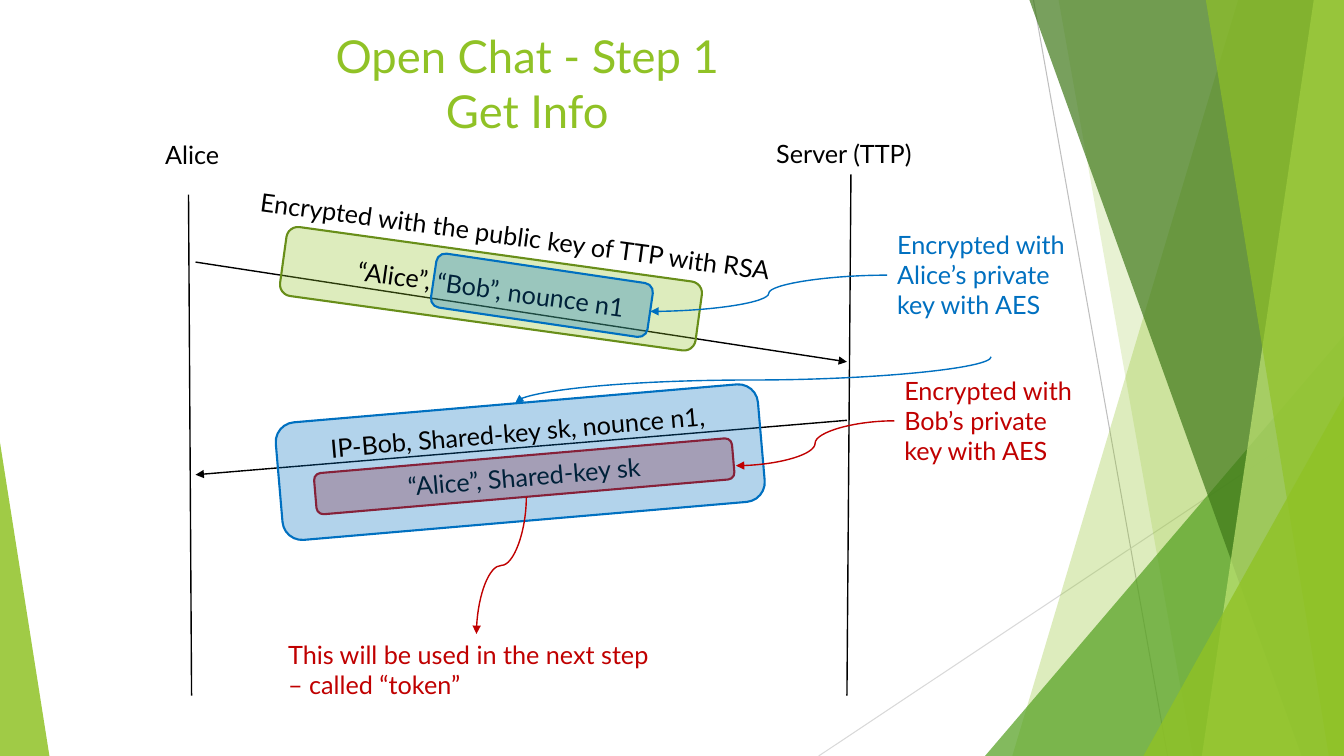
from dataclasses import dataclass

import pptx
import pptx.dml.color
import pptx.enum.shapes
import pptx.enum.text
import pptx.oxml.ns
import pptx.oxml.xmlchemy
import pptx.util
from lxml import etree

Inches = pptx.util.Inches
Pt = pptx.util.Pt
qn = pptx.oxml.ns.qn
ALIGN = pptx.enum.text.PP_ALIGN
ANCHOR = pptx.enum.text.MSO_ANCHOR
SHAPE = pptx.enum.shapes.MSO_SHAPE
CONNECTOR = pptx.enum.shapes.MSO_CONNECTOR

WIDTH, HEIGHT = 13.33, 7.5
FONT = "Lato"
COLORS = {
    "black": "000000", "green": "90C226", "olive": "688E19", "leaf": "54A021",
    "forest": "3F7819", "lime": "C0E474", "blue": "0070C0", "red": "C00000",
    "grey": "BFBFBF", "light grey": "D9D9D9",
}
TOP, LEFT, BOTTOM = 0, 1, 2  # connection sites


@dataclass
class Band:
    """A band from the right slide edge to a slanted left edge."""
    top_x: float
    bottom_x: float
    color: str
    opacity: int


@dataclass
class Corner:
    """A right triangle standing on the bottom slide edge."""
    left: float
    top: float
    width: float
    apex: float
    color: str
    opacity: int


@dataclass
class Label:
    text: str
    box: tuple[float, float, float, float]
    color: str = "black"
    rotation: float = 0
    inset_top: float = 0.05


@dataclass
class Envelope:
    """A rounded, see-through box standing for an encrypted part."""
    text: str
    box: tuple[float, float, float, float]
    rotation: float
    fill: str
    outline: str
    inset_bottom: float = 0.05


@dataclass
class Link:
    start: tuple[float, float]
    end: tuple[float, float]
    color: str = "black"
    width: float = 1
    arrow: bool = False
    curved: bool = False


DECOR = [
    Band(12.28, 10.04, "green", 30),
    Band(10.5, 11.83, "green", 20),
    Corner(9.77, 3.33, 3.56, 1, "leaf", 72),
    Band(10.21, 12.91, "forest", 70),
    Band(13.03, 11.92, "lime", 70),
    Band(11.96, 13.18, "green", 65),
    Corner(11.34, 3.93, 1.99, 1, "green", 80),
    Corner(0, 4.39, 0.49, 0, "green", 85),
]
DECOR_LINES = [
    Link((10.25, 0), (11.58, HEIGHT), "grey", 0.75),
    Link((WIDTH, 4.03), (8.12, HEIGHT), "light grey", 0.75),
]
MESSAGES = [
    Link((1.87, 1.93), (1.9, 6.9)),
    Link((8.44, 1.73), (8.4, 6.9)),
    Link((1.94, 2.6), (8.4, 3.59), arrow=True),
    Link((8.4, 4.17), (1.94, 4.71), arrow=True),
]
HEADINGS = [
    Label("Alice", (1.54, 1.33, 0.98, 0.4)),
    Label("Server (TTP)", (7.6, 1.32, 1.68, 0.4)),
    Label("Encrypted with the public key of TTP with RSA", (2.46, 2.21, 6.33, 0.4), rotation=7.7),
]
BOB_KEY = Label("Encrypted with Bob’s private key with AES", (8.87, 3.67, 1.99, 1.01), "red")
TOKEN = Label("This will be used in the next step – called “token”", (2.76, 6.29, 3.93, 0.71), "red")
ALICE_KEY = Label("Encrypted with Alice’s private key with AES", (8.8, 1.92, 2.06, 1.62), "blue",
                  inset_top=0.35)
ENVELOPES = [
    Envelope("“Alice”, “Bob”, nounce n1", (2.79, 2.52, 4.16, 0.69), 7.9, "green", "olive"),
    Envelope("“Alice”, Shared-key sk", (3.12, 4.52, 4.16, 0.41), 355.1, "red", "red"),
    Envelope("IP-Bob, Shared-key sk, nounce n1,", (2.76, 4, 4.8, 1.17), 355.1, "blue", "blue", 0.65),
    Envelope("", (4.29, 2.66, 2.17, 0.54), 8.4, "blue", "blue"),
]


def rgb(color: str) -> pptx.dml.color.RGBColor:
    return pptx.dml.color.RGBColor.from_string(COLORS[color])


def write(shape, text: str, *, size: float = 18, color: str = "black", align=ALIGN.LEFT,
          anchor=ANCHOR.TOP, inset_top: float = 0.05, inset_bottom: float = 0.05) -> None:
    frame = shape.text_frame
    frame.word_wrap = True
    frame.auto_size = pptx.enum.text.MSO_AUTO_SIZE.NONE
    frame.vertical_anchor = anchor
    frame.margin_left = frame.margin_right = Inches(0.1)
    frame.margin_top, frame.margin_bottom = Inches(inset_top), Inches(inset_bottom)
    paragraph = frame.paragraphs[0]
    paragraph.text = text
    paragraph.alignment = align
    for run in paragraph.runs:
        run.font.name, run.font.size = FONT, Pt(size)
        run.font.color.rgb = rgb(color)


def paint(shape, color: str, opacity: int) -> None:
    shape.shadow.inherit = False
    shape.line.fill.background()
    shape.fill.solid()
    shape.fill.fore_color.rgb = rgb(color)
    tint = shape._element.spPr.find(qn("a:solidFill")).find(qn("a:srgbClr"))
    etree.SubElement(tint, qn("a:alpha")).set("val", str(opacity * 1000))


def draw_decor(shapes, part: Band | Corner) -> None:
    if isinstance(part, Band):
        builder = shapes.build_freeform(Inches(part.top_x), 0)
        corners = [(WIDTH, 0), (WIDTH, HEIGHT), (part.bottom_x, HEIGHT)]
        builder.add_line_segments([(Inches(x), Inches(y)) for x, y in corners], close=True)
        shape = builder.convert_to_shape()
    else:
        shape = shapes.add_shape(SHAPE.ISOSCELES_TRIANGLE, Inches(part.left), Inches(part.top),
                                 Inches(part.width), Inches(HEIGHT - part.top))
        shape.adjustments[0] = part.apex
    paint(shape, part.color, part.opacity)


def draw_label(shapes, label: Label):
    box = shapes.add_textbox(*map(Inches, label.box))
    box.rotation = label.rotation
    write(box, label.text, color=label.color, inset_top=label.inset_top)
    return box


def draw_envelope(shapes, envelope: Envelope) -> None:
    box = shapes.add_shape(SHAPE.ROUNDED_RECTANGLE, *map(Inches, envelope.box))
    box.rotation = envelope.rotation
    paint(box, envelope.fill, 30)
    box.line.color.rgb = rgb(envelope.outline)
    box.line.width = Pt(1.5)
    if envelope.text:
        write(box, envelope.text, align=ALIGN.CENTER, anchor=ANCHOR.MIDDLE,
              inset_bottom=envelope.inset_bottom)


def draw_link(shapes, link: Link):
    kind = CONNECTOR.CURVE if link.curved else CONNECTOR.STRAIGHT
    connector = shapes.add_connector(kind, *map(Inches, link.start + link.end))
    connector.line.color.rgb = rgb(link.color)
    connector.line.width = Pt(link.width)
    properties = connector._element.spPr
    if link.arrow:
        etree.SubElement(properties.find(qn("a:ln")), qn("a:tailEnd")).set("type", "triangle")
    etree.SubElement(properties, qn("a:effectLst"))
    return connector


def leave_downwards(connector) -> None:
    """Turn a curve that runs down and left so that it starts and ends vertically."""
    width, height = connector.width, connector.height
    connector.left += (width - height) // 2
    connector.top += (height - width) // 2
    connector.width, connector.height = height, width
    frame = connector._element.spPr.find(qn("a:xfrm"))
    frame.attrib.pop("flipH", None)
    frame.set("rot", str(90 * 60000))


def main() -> None:
    deck = pptx.Presentation()
    deck.slide_width, deck.slide_height = Inches(WIDTH), Inches(HEIGHT)
    slide = deck.slides.add_slide(deck.slide_layouts[5])
    shapes = slide.shapes

    title = shapes.title
    title.left, title.top, title.width, title.height = map(Inches, (0.53, 0.23, 9.4, 1.15))
    write(title, "Open Chat - Step 1\vGet Info", size=32.4, color="green", align=ALIGN.CENTER)

    for line in DECOR_LINES:
        draw_link(shapes, line)
    for part in DECOR:
        draw_decor(shapes, part)
    for message in MESSAGES:
        draw_link(shapes, message)
    for heading in HEADINGS:
        draw_label(shapes, heading)
    bob_key, token, alice_key = (draw_label(shapes, label) for label in (BOB_KEY, TOKEN, ALICE_KEY))
    for envelope in ENVELOPES:
        draw_envelope(shapes, envelope)

    def pointer(start: tuple[float, float], end: tuple[float, float], color: str):
        return draw_link(shapes, Link(start, end, color, arrow=True, curved=True))

    pointer((8.87, 4.18), (7.3, 4.62), "red").begin_connect(bob_key, LEFT)
    pointer((8.8, 2.73), (6.45, 3.09), "blue").begin_connect(alice_key, LEFT)
    to_token = pointer((5.22, 4.93), (4.73, 6.29), "red")
    to_token.end_connect(token, TOP)
    leave_downwards(to_token)
    to_reply = pointer((9.83, 3.54), (5.11, 4), "blue")
    to_reply.begin_connect(alice_key, BOTTOM)
    leave_downwards(to_reply)

    deck.save("out.pptx")


if __name__ == "__main__":
    main()
